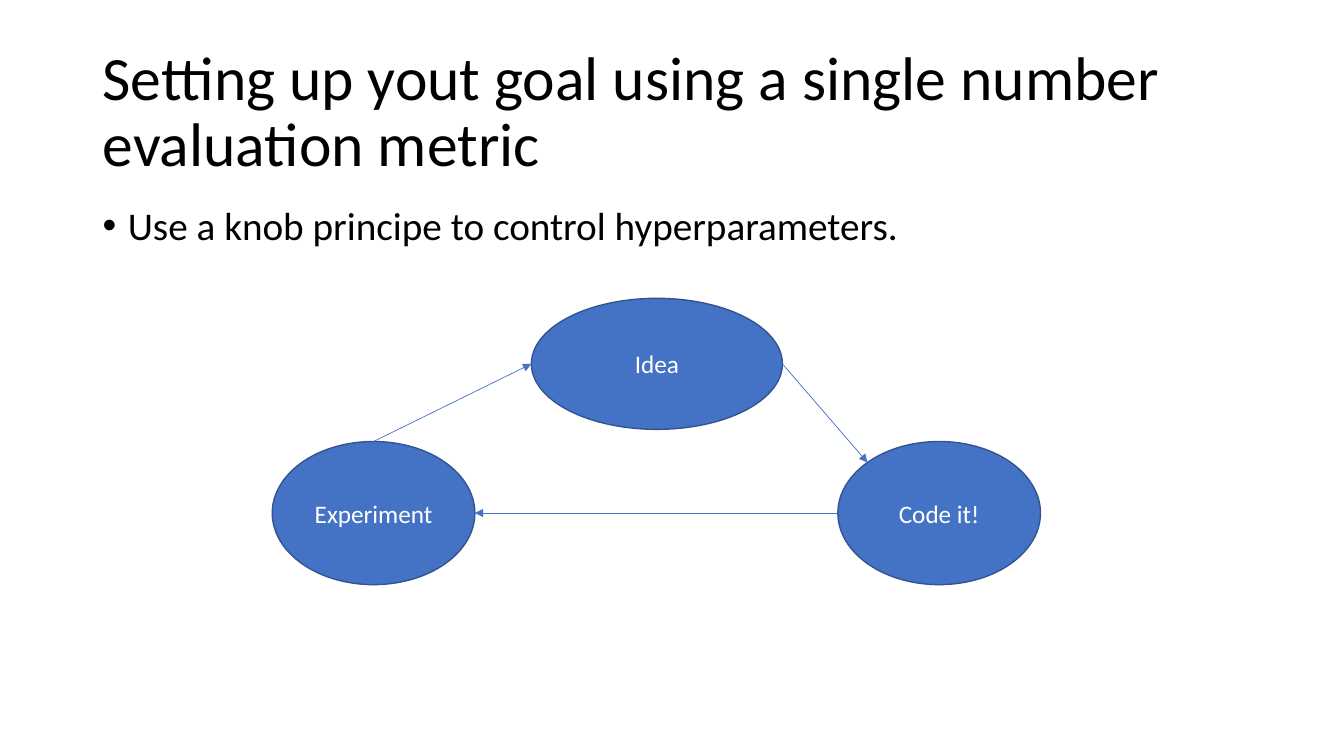
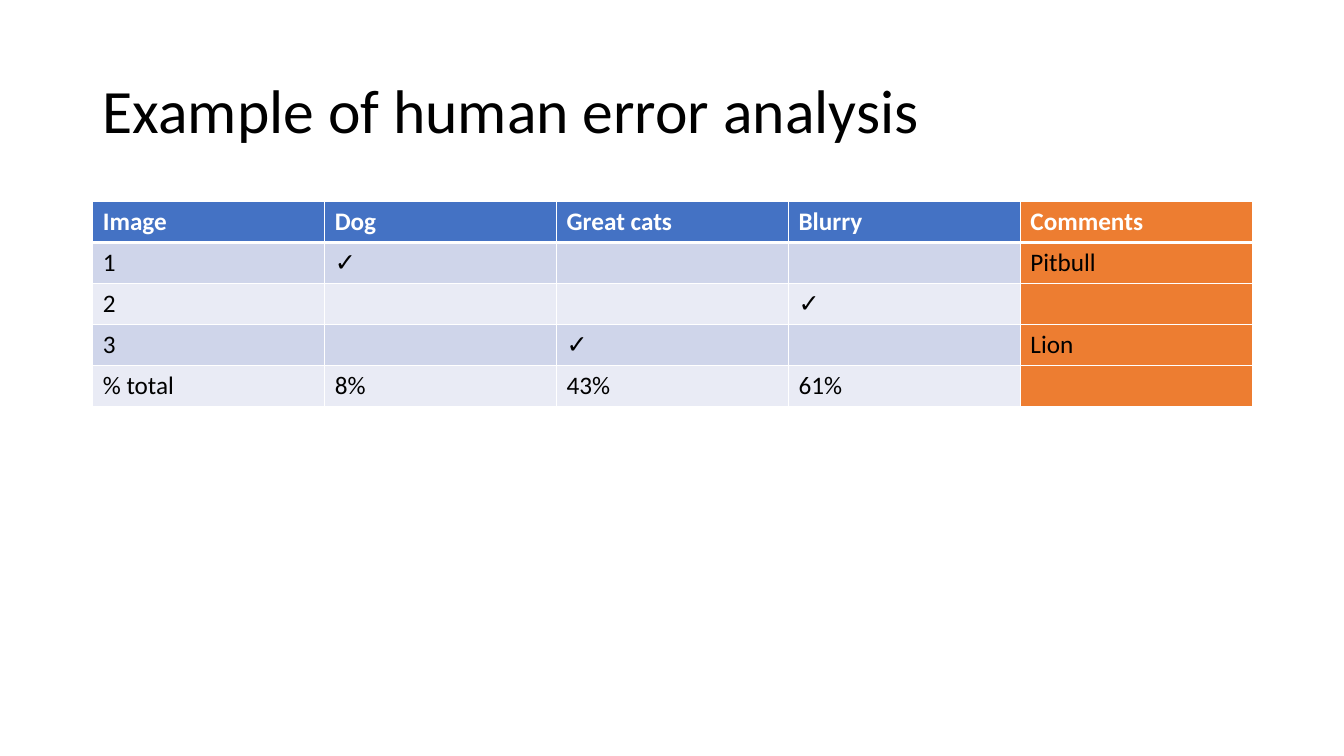
import math

import lxml.etree
import pptx
import pptx.dml.color
import pptx.enum.shapes
import pptx.enum.text
import pptx.oxml.ns
import pptx.util

Inches = pptx.util.Inches
Pt = pptx.util.Pt
qn = pptx.oxml.ns.qn

FONT = "Calibri"
BLACK, WHITE = "000000", "FFFFFF"
BLUE, EDGE, ORANGE = "4472C4", "325491", "ED7D31"
BANDS = ("CFD5EA", "E9EBF5")
LEFT, WIDTH = 0.92, 11.5
TOP, RIGHT, BELOW, LOWER_LEFT, UPPER_LEFT = 0, 6, 4, 3, 1
SIDE = 2

ROWS = (
    ("Image", "Dog", "Great cats", "Blurry", "Comments"),
    ("1", "✓", "", "", "Pitbull"),
    ("2", "", "", "✓", ""),
    ("3", "", "✓", "", "Lion"),
    ("% total", "8%", "43%", "61%", ""),
)


def color(code):
    """Turn a hex string into a colour."""
    return pptx.dml.color.RGBColor.from_string(code)


def paint(target, code):
    """Give a shape or cell a solid fill."""
    target.fill.solid()
    target.fill.fore_color.rgb = color(code)


def style(frame, size, code, bold=False):
    """Format every run of a text frame."""
    for para in frame.paragraphs:
        for run in para.runs:
            font = run.font
            font.name, font.size, font.bold = FONT, Pt(size), bold
            font.color.rgb = color(code)


def add_text(slide, text, top, height, size, anchor):
    """Add a wrapped text box across the content width."""
    box = slide.shapes.add_textbox(
        Inches(LEFT), Inches(top), Inches(WIDTH), Inches(height))
    frame = box.text_frame
    frame.word_wrap = True
    frame.vertical_anchor = anchor
    frame.text = text
    frame.paragraphs[0].line_spacing = 0.9
    style(frame, size, BLACK)
    return frame


def add_title(slide, text):
    """Add the slide title."""
    add_text(slide, text, 0.4, 1.45, 44, pptx.enum.text.MSO_ANCHOR.MIDDLE)


def add_bullet(slide, text):
    """Add the body text with a hanging bullet."""
    frame = add_text(slide, text, 2, 4.76, 28, pptx.enum.text.MSO_ANCHOR.TOP)
    para = frame.paragraphs[0]
    para.space_before = Pt(10)
    props = para._p.get_or_add_pPr()
    props.set("marL", str(Inches(0.25)))
    props.set("indent", str(-Inches(0.25)))
    lxml.etree.SubElement(props, qn("a:buFont")).set("typeface", "Arial")
    lxml.etree.SubElement(props, qn("a:buChar")).set("char", "•")


def add_oval(slide, text, left, top, width, height):
    """Add one labelled step of the cycle."""
    oval = slide.shapes.add_shape(
        pptx.enum.shapes.MSO_SHAPE.OVAL,
        Inches(left), Inches(top), Inches(width), Inches(height))
    oval.shadow.inherit = False
    paint(oval, BLUE)
    oval.line.color.rgb = color(EDGE)
    oval.line.width = Pt(1)
    frame = oval.text_frame
    frame.text = text
    frame.vertical_anchor = pptx.enum.text.MSO_ANCHOR.MIDDLE
    frame.paragraphs[0].alignment = pptx.enum.text.PP_ALIGN.CENTER
    style(frame, 18, WHITE)
    return oval


def site(oval, index):
    """Find a connection site, counted anticlockwise from the top."""
    angle = math.radians(90 + 45 * index)
    x = oval.left + oval.width / 2 * (1 + math.cos(angle))
    y = oval.top + oval.height / 2 * (1 - math.sin(angle))
    return round(x), round(y)


def add_arrow(slide, start, out, end, into):
    """Join two ovals with an arrow glued to their sites."""
    link = slide.shapes.add_connector(
        pptx.enum.shapes.MSO_CONNECTOR.STRAIGHT,
        *site(start, out), *site(end, into))
    link.line.color.rgb = color(BLUE)
    link.line.width = Pt(0.5)
    glue = link._element.find(".//" + qn("p:cNvCxnSpPr"))
    for tag, oval, index in (("a:stCxn", start, out), ("a:endCxn", end, into)):
        lxml.etree.SubElement(
            glue, qn(tag), id=str(oval.shape_id), idx=str(index))
    line = link.line._get_or_add_ln()
    lxml.etree.SubElement(line, qn("a:tailEnd")).set("type", "triangle")
    lxml.etree.SubElement(link._element.spPr, qn("a:effectLst"))


def add_edges(cell, widths):
    """Draw white cell borders of the given point widths."""
    props = cell._tc.get_or_add_tcPr()
    for edge, width in widths.items():
        line = lxml.etree.SubElement(
            props, qn("a:ln" + edge), w=str(Pt(width)))
        fill = lxml.etree.SubElement(line, qn("a:solidFill"))
        lxml.etree.SubElement(fill, qn("a:srgbClr")).set("val", WHITE)


def add_grid(slide, rows):
    """Add a banded table with an accented last column."""
    count, last = len(rows), len(rows[0]) - 1
    grid = slide.shapes.add_table(
        count, last + 1, Inches(LEFT), Inches(2),
        Inches(WIDTH), Inches(0.406 * count)).table
    for r, row in enumerate(rows):
        for c, text in enumerate(row):
            cell = grid.cell(r, c)
            head = r == 0
            add_edges(cell, {"L": 1, "R": 1, "T": 3 if r == 1 else 1,
                             "B": 3 if head else 1})
            band = BLUE if head else BANDS[(r - 1) % 2]
            paint(cell, ORANGE if c == last else band)
            if text:
                cell.text_frame.text = text
                style(cell.text_frame, 18, WHITE if head else BLACK, head)


def add_cycle(slide):
    """Draw the idea, code and experiment loop."""
    idea = add_oval(slide, "Idea", 5.27, 2.96, 2.49, 1.3)
    test, code = (add_oval(slide, text, left, 4.38, 2.01, 1.42)
                  for text, left in (("Experiment", 2.7), ("Code it!", 8.31)))
    add_arrow(slide, idea, RIGHT, code, UPPER_LEFT)
    add_arrow(slide, code, SIDE, test, RIGHT)
    add_arrow(slide, test, TOP, idea, SIDE)


def main():
    """Build and save both slides."""
    deck = pptx.Presentation()
    deck.slide_width, deck.slide_height = Inches(13.33), Inches(7.5)
    blank = deck.slide_layouts[6]

    goal = deck.slides.add_slide(blank)
    add_title(goal, "Setting up yout goal using a single number "
                    "evaluation metric")
    add_bullet(goal, "Use a knob principe to control hyperparameters.")
    add_cycle(goal)

    errors = deck.slides.add_slide(blank)
    add_title(errors, "Example of human error analysis")
    add_grid(errors, ROWS)

    deck.save("out.pptx")


main()
